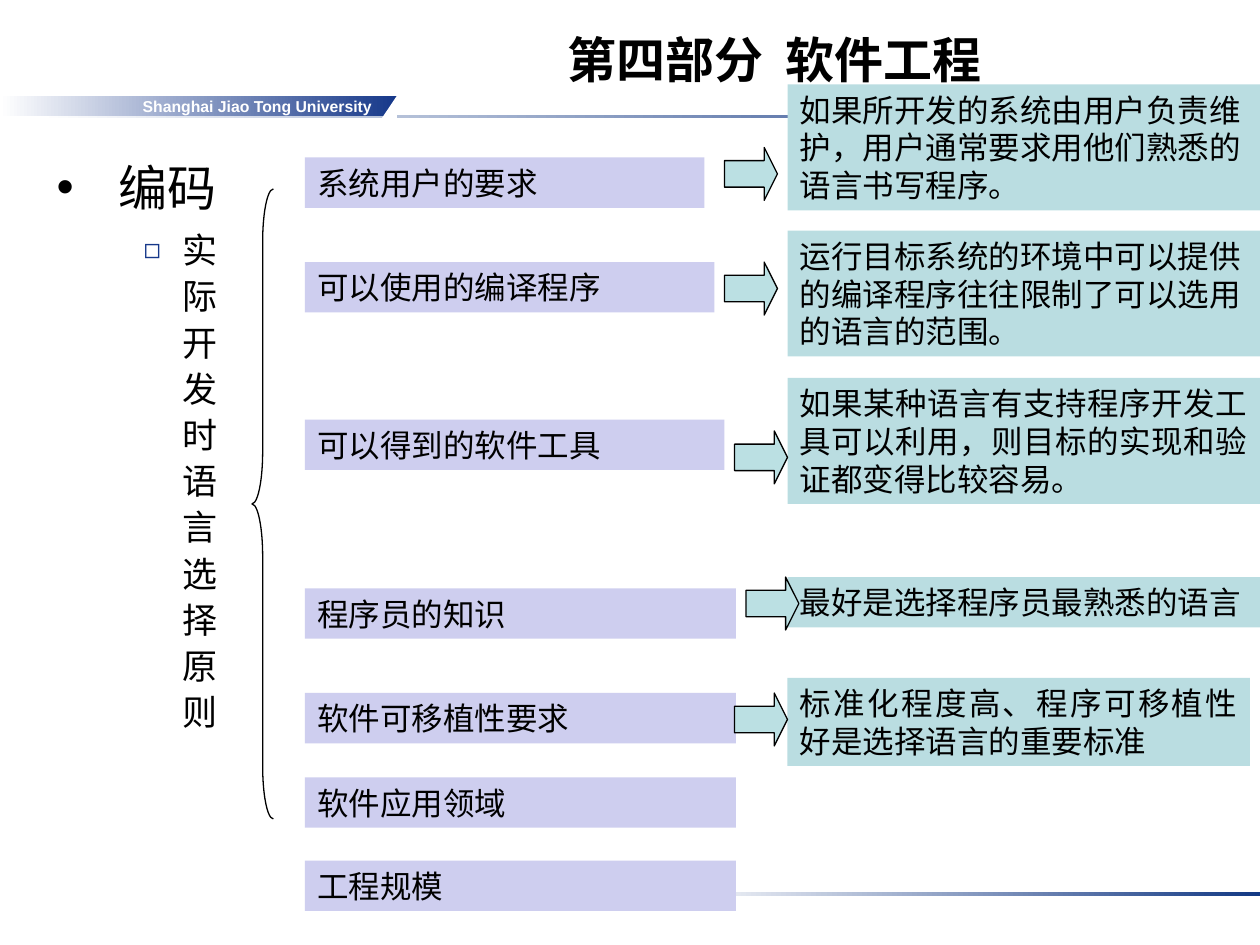
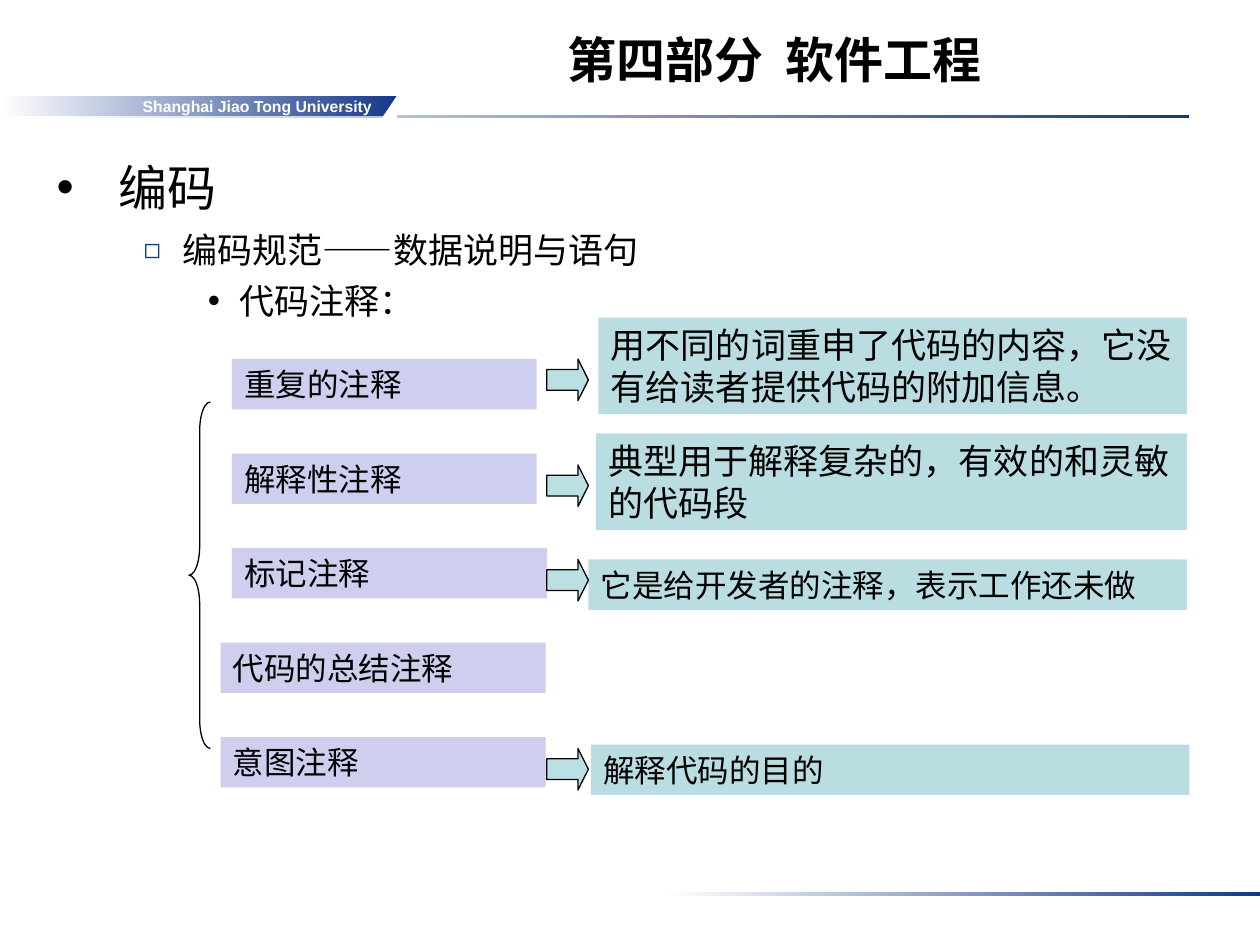
"""Build two slides on coding principles and code comments in software engineering."""
from lxml import etree
from pptx import Presentation
from pptx.dml.color import RGBColor
from pptx.enum.shapes import MSO_SHAPE
from pptx.enum.text import MSO_ANCHOR, MSO_AUTO_SIZE, PP_ALIGN
from pptx.oxml.ns import qn
from pptx.util import Inches, Pt

RECT, TRIANGLE = MSO_SHAPE.RECTANGLE, MSO_SHAPE.RIGHT_TRIANGLE
ARROW, BRACE = MSO_SHAPE.RIGHT_ARROW, MSO_SHAPE.LEFT_BRACE
TOP, MIDDLE, BOTTOM = MSO_ANCHOR.TOP, MSO_ANCHOR.MIDDLE, MSO_ANCHOR.BOTTOM
LEFT, CENTER, RIGHT, JUSTIFY = PP_ALIGN.LEFT, PP_ALIGN.CENTER, PP_ALIGN.RIGHT, PP_ALIGN.JUSTIFY
FIT, NO_FIT = MSO_AUTO_SIZE.SHAPE_TO_FIT_TEXT, MSO_AUTO_SIZE.NONE

SANS, CJK = "Arial", "Noto Sans CJK SC"
BLACK, WHITE, NAVY, BLUE = "000000", "FFFFFF", "133984", "16388A"
LILAC, TEAL, ARROW_TEAL = "CECEEF", "BADDE1", "BBE0E3"

TITLE = "第四部分  软件工程"
SCHOOL = "Shanghai Jiao Tong University"
RULES = [(0.31, 0.91, 9.13, 0.03), (5.28, 7.08, 4.72, 0.03)]
BAND, NOTCH = (0, 0.76, 3.15, 0.16), (3.03, 0.76, 0.12, 0.18)

# Outline levels: size, font, margin, indent, line spacing, space before, bullet, colour, bullet %
LEVELS = [
    (28, CJK, 0.49, -0.49, 1.1, 7, "•", BLACK, 100),
    (20, CJK, 1, -0.31, 1.1, 5, "◻", BLUE, 80),
    (20, SANS, 1.45, -0.25, 1, 5, "•", BLACK, 100),
]

# Labels: text, left, top, width
# Notes: text, left, top, width, lines, size, font, alignment
SLIDES = [
    {
        "outline": ["编码", "实际开发时语言选择原则"],
        "outline_width": 1.69,
        "brace": (2, 1.5, 0.17, 5),
        "labels": [
            ("系统用户的要求", 2.42, 1.25, 3.17),
            ("可以使用的编译程序", 2.42, 2.08, 3.25),
            ("可以得到的软件工具", 2.42, 3.33, 3.33),
            ("程序员的知识", 2.42, 4.67, 3.42),
            ("软件可移植性要求", 2.42, 5.5, 3.42),
            ("软件应用领域", 2.42, 6.17, 3.42),
            ("工程规模", 2.42, 6.83, 3.42),
        ],
        "notes": [
            ("如果所开发的系统由用户负责维护，用户通常要求用他们熟悉的语言书写程序。",
             6.25, 0.67, 3.75, 3, 18, CJK, LEFT),
            ("运行目标系统的环境中可以提供的编译程序往往限制了可以选用的语言的范围。",
             6.25, 1.83, 3.75, 3, 18, CJK, LEFT),
            ("如果某种语言有支持程序开发工具可以利用，则目标的实现和验证都变得比较容易。",
             6.25, 3, 3.75, 3, 18, CJK, JUSTIFY),
            ("最好是选择程序员最熟悉的语言", 6.25, 4.58, 3.75, 1, 18, CJK, LEFT),
            ("标准化程度高、程序可移植性好是选择语言的重要标准",
             6.25, 5.38, 3.67, 2, 18, CJK, JUSTIFY),
        ],
        "arrow_size": 0.42,
        "arrows": [(5.75, 1.17), (5.75, 2.08), (5.83, 3.42), (5.92, 4.58), (5.83, 5.5)],
    },
    {
        "outline": ["编码", "编码规范——数据说明与语句", "代码注释："],
        "outline_width": 9.25,
        "brace": (1.5, 3.19, 0.17, 2.75),
        "labels": [
            ("重复的注释", 1.84, 2.85, 2.42),
            ("解释性注释", 1.84, 3.6, 2.42),
            ("标记注释", 1.84, 4.35, 2.5),
            ("代码的总结注释", 1.75, 5.1, 2.58),
            ("意图注释", 1.75, 5.85, 2.58),
        ],
        "notes": [
            ("用不同的词重申了代码的内容，它没有给读者提供代码的附加信息。",
             4.75, 2.52, 4.67, 2, 20, SANS, LEFT),
            ("典型用于解释复杂的，有效的和灵敏的代码段", 4.73, 3.44, 4.69, 2, 20, SANS, LEFT),
            ("它是给开发者的注释，表示工作还未做", 4.67, 4.44, 4.75, 1, 18, CJK, LEFT),
            ("解释代码的目的", 4.69, 5.91, 4.75, 1, 18, CJK, LEFT),
        ],
        "arrow_size": 0.33,
        "arrows": [(4.34, 2.85), (4.34, 3.69), (4.34, 4.44), (4.34, 5.94)],
    },
]


def rgb(color):
    return RGBColor.from_string(color)


def add_run(p, text, size, font, color=BLACK, bold=False):
    r = p.add_run()
    r.text = text
    r.font.size, r.font.name, r.font.bold = Pt(size), font, bold
    r.font.color.rgb = rgb(color)
    etree.SubElement(r.font._element, qn("a:ea"), typeface=CJK)


def add_shape(slide, kind, box, fill=None, line=None):
    s = slide.shapes.add_shape(kind, *map(Inches, box))
    s.shadow.inherit = False
    if fill:
        s.fill.solid()
        s.fill.fore_color.rgb = rgb(fill)
    else:
        s.fill.background()
    if line:
        s.line.color.rgb, s.line.width = rgb(line), Pt(0.75)
    else:
        s.line.fill.background()
    return s


def add_fade(slide, box, color):
    s = add_shape(slide, RECT, box)
    s.fill.gradient()
    s.fill.gradient_angle = 0
    for stop, shade in zip(s.fill.gradient_stops, (WHITE, color)):
        stop.color.rgb = rgb(shade)
    return s


def add_box(slide, text, left, top, width, fill, lines=1, size=18, font=CJK, align=LEFT):
    height = lines * size * 1.2 / 72 + 0.1
    s = add_shape(slide, RECT, (left, top, width, height), fill)
    tf = s.text_frame
    tf.word_wrap, tf.auto_size, tf.vertical_anchor = True, FIT, TOP
    p = tf.paragraphs[0]
    p.alignment = align
    add_run(p, text, size, font)


def place(ph, box, anchor):
    ph.left, ph.top, ph.width, ph.height = map(Inches, box)
    tf = ph.text_frame
    tf.word_wrap, tf.auto_size, tf.vertical_anchor = True, NO_FIT, anchor
    return tf


def add_frame(slide, layout):
    """Draw the rules and the school band and hand them to the layout."""
    for ph in list(layout.placeholders)[2:]:
        ph.element.getparent().remove(ph.element)
    parts = [add_fade(slide, rule, NAVY) for rule in RULES]
    band = add_fade(slide, BAND, BLUE)
    tf = band.text_frame
    tf.word_wrap, tf.vertical_anchor, tf.margin_right = True, MIDDLE, Inches(0.2)
    p = tf.paragraphs[0]
    p.alignment = RIGHT
    add_run(p, SCHOOL, 9, SANS, WHITE, True)
    notch = add_shape(slide, TRIANGLE, NOTCH, WHITE)
    notch.element.spPr.find(qn("a:xfrm")).set("flipH", "1")
    for s in parts + [band, notch]:
        layout.shapes.element.append(s.element)


def add_outline(tf, items):
    for level, (text, style) in enumerate(zip(items, LEVELS)):
        size, font, margin, indent, spacing, before, char, color, percent = style
        p = tf.add_paragraph() if level else tf.paragraphs[0]
        p.level, p.alignment = level, LEFT
        pPr = p._p.get_or_add_pPr()
        pPr.set("marL", str(Inches(margin)))
        pPr.set("indent", str(Inches(indent)))
        clr = etree.SubElement(pPr, qn("a:buClr"))
        etree.SubElement(clr, qn("a:srgbClr"), val=color)
        etree.SubElement(pPr, qn("a:buSzPct"), val=str(percent * 1000))
        etree.SubElement(pPr, qn("a:buChar"), char=char)
        p.line_spacing = spacing
        p.space_before = Pt(before if level else 0)
        add_run(p, text, size, font)


def add_content(slide, data):
    title, body = slide.placeholders
    p = place(title, (2.59, 0, 7.11, 0.75), BOTTOM).paragraphs[0]
    p.alignment = CENTER
    add_run(p, TITLE, 28, SANS, bold=True)
    add_outline(place(body, (0.35, 1.15, data["outline_width"], 5.7), TOP), data["outline"])

    for text, left, top, width in data["labels"]:
        add_box(slide, text, left, top, width, LILAC)
    for text, left, top, width, *style in data["notes"]:
        add_box(slide, text, left, top, width, TEAL, *style)

    brace = add_shape(slide, BRACE, data["brace"], line=BLACK)
    width, height = data["brace"][2:]
    brace.adjustments[0] = height / 12 / width
    side = data["arrow_size"]
    for left, top in data["arrows"]:
        s = add_shape(slide, ARROW, (left, top, side, side), ARROW_TEAL, BLACK)
        s.adjustments[0], s.adjustments[1] = 0.5, 0.25


def main():
    prs = Presentation()
    prs.slide_width, prs.slide_height = Inches(10), Inches(7.5)
    layout = prs.slide_layouts[1]
    for i, data in enumerate(SLIDES):
        slide = prs.slides.add_slide(layout)
        if i == 0:
            add_frame(slide, layout)
        add_content(slide, data)
    prs.save("out.pptx")


if __name__ == "__main__":
    main()
